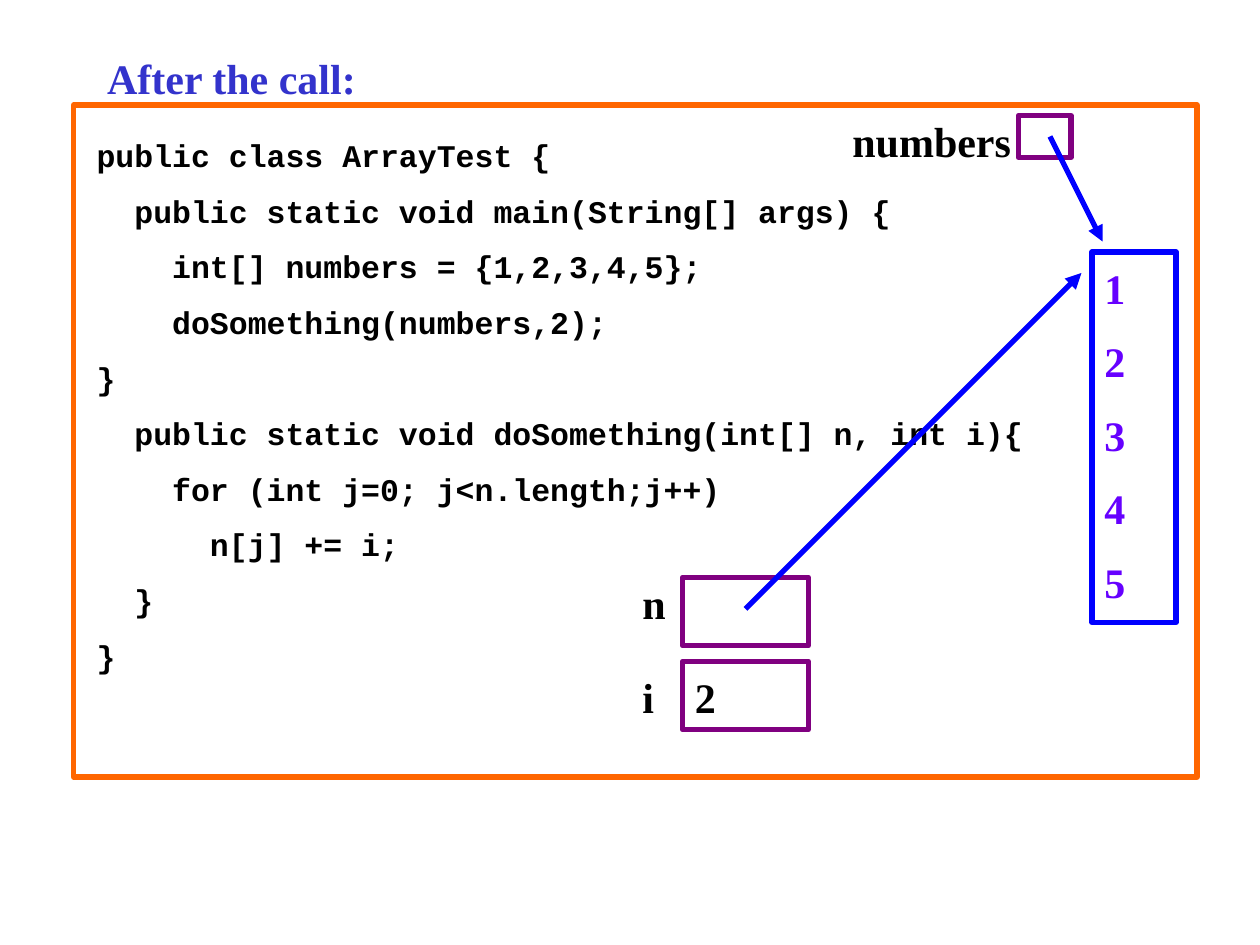
from dataclasses import dataclass
from lxml.etree import SubElement
from pptx import Presentation
from pptx.dml.color import RGBColor
from pptx.enum.shapes import MSO_CONNECTOR, MSO_SHAPE
from pptx.enum.text import MSO_ANCHOR, MSO_AUTO_SIZE, PP_ALIGN
from pptx.oxml.ns import qn
from pptx.util import Inches, Pt


@dataclass(frozen=True)
class Theme:
    """Colours, fonts and sizes of the slide."""
    ink: str = "000000"
    title: str = "3333CC"
    frame: str = "FF6600"
    variable: str = "800080"
    array: str = "0000FF"
    value: str = "6600FF"
    serif: str = "Times New Roman"
    mono: str = "Courier New"
    label_size: float = 24
    code_size: float = 18
    gap: float = 0.555
    line: float = 3


def grid(*cells):
    """Convert cells of a twelfth of an inch to lengths."""
    return [Inches(c / 12) for c in cells]


def write(shape, lines, size=24, font="Times New Roman", color="000000", gap=0.55):
    """Write bold lines, turning leading spaces into indents."""
    tf = shape.text_frame
    tf.word_wrap, tf.auto_size = True, MSO_AUTO_SIZE.NONE
    tf.vertical_anchor = MSO_ANCHOR.TOP
    tf.margin_top = Inches(0.08)
    for i, line in enumerate(lines):
        p = tf.add_paragraph() if i else tf.paragraphs[0]
        code = line.lstrip()
        p.alignment, p.line_spacing = PP_ALIGN.LEFT, 1.0
        p.space_before = Pt(size * gap if i else 0)
        pPr = p._p.get_or_add_pPr()
        pPr.set("marL", str(Pt(0.6 * size * (len(line) - len(code)))))
        pPr.set("indent", "0")
        SubElement(pPr, qn("a:buNone"))
        r = p.add_run()
        r.text = code
        r.font.name, r.font.size, r.font.bold = font, Pt(size), True
        r.font.color.rgb = RGBColor.from_string(color)


class Board:
    """Draws a memory diagram on one slide."""

    def __init__(self, prs, theme):
        """Add the slide and keep its style."""
        self.t = theme
        self.s = prs.slides.add_slide(prs.slide_layouts[1])

    def place(self, sp, cells, lines, **fmt):
        """Move a placeholder and fill it."""
        sp.left, sp.top, sp.width, sp.height = grid(*cells)
        write(sp, lines, **fmt)

    def label(self, cells, text):
        """Add a one-line label."""
        write(self.s.shapes.add_textbox(*grid(*cells)), [text],
              size=self.t.label_size, font=self.t.serif, color=self.t.ink)

    def box(self, cells, color, lines=(), ink=None):
        """Add an outlined box with optional values."""
        sp = self.s.shapes.add_shape(MSO_SHAPE.RECTANGLE, *grid(*cells))
        sp.shadow.inherit = False
        sp.fill.background()
        sp.line.color.rgb = RGBColor.from_string(color)
        sp.line.width = Pt(self.t.line)
        if lines:
            write(sp, lines, size=self.t.label_size, font=self.t.serif,
                  color=ink or self.t.ink)

    def arrow(self, *ends):
        """Add a reference arrow."""
        c = self.s.shapes.add_connector(MSO_CONNECTOR.STRAIGHT, *grid(*ends))
        c.line.color.rgb = RGBColor.from_string(self.t.array)
        c.line.width = Pt(self.t.line)
        SubElement(c.line._get_or_add_ln(), qn("a:tailEnd"), type="triangle")
        SubElement(c._element.spPr, qn("a:effectLst"))


CODE = """public class ArrayTest {
  public static void main(String[] args) {
    int[] numbers = {1,2,3,4,5};
    doSomething(numbers,2);
}
  public static void doSomething(int[] n, int i){
    for (int j=0; j<n.length;j++)
      n[j] += i;
  }
}""".splitlines()


def main():
    """Build the slide and save it."""
    prs = Presentation()
    prs.slide_width, prs.slide_height = Inches(10), Inches(7.5)
    t = Theme()
    b = Board(prs, t)
    title, body = b.s.placeholders
    b.place(title, (9, 4, 33, 6), ["After the call:"],
            size=t.label_size, font=t.serif, color=t.title)
    b.place(body, (8, 12, 104, 53.5), CODE,
            size=t.code_size, font=t.mono, color=t.ink, gap=t.gap + 0.01)
    b.box((7, 10, 107, 64), t.frame)
    b.box((104, 24, 8, 35.3), t.array, [str(n) for n in range(1, 6)], t.value)
    b.box((97, 11, 5, 4), t.variable)
    b.label((80, 10, 19, 6), "numbers")
    b.arrow(100, 13, 105, 23)
    for name, label_top, box_top, value in (("n", 54, 55, ()), ("i", 63, 63, ["2"])):
        b.label((60, label_top, 6, 6), name)
        b.box((65, box_top, 12, 6.5), t.variable, value)
    b.arrow(71, 58, 103, 26)
    prs.save("out.pptx")


main()
